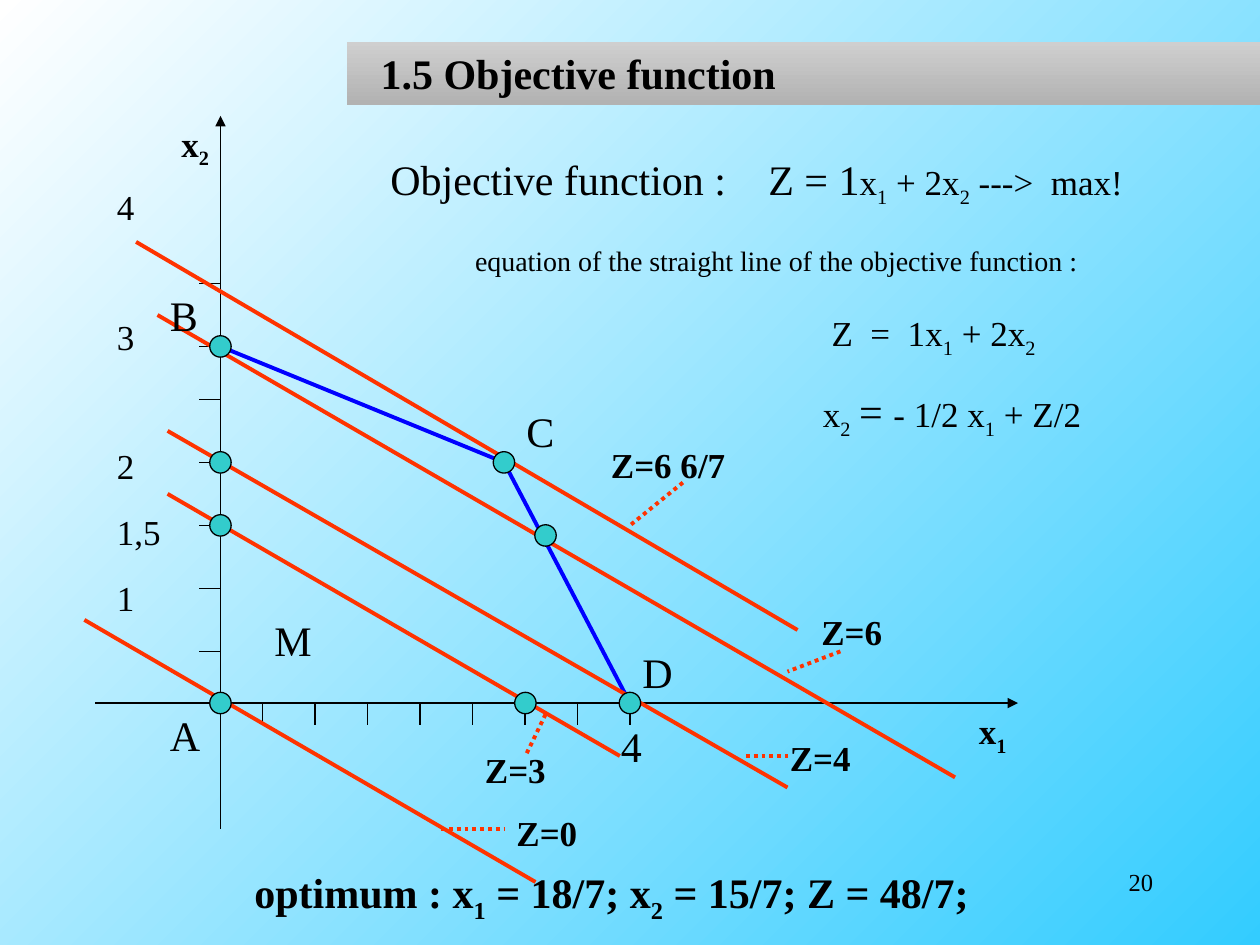
from lxml import etree
from pptx import Presentation
from pptx.dml.color import RGBColor
from pptx.enum.dml import MSO_LINE
from pptx.enum.shapes import MSO_CONNECTOR, MSO_SHAPE
from pptx.enum.text import MSO_ANCHOR, MSO_AUTO_SIZE, PP_ALIGN
from pptx.oxml.ns import qn
from pptx.util import Inches, Pt

STRAIGHT = MSO_CONNECTOR.STRAIGHT
OVAL = MSO_SHAPE.OVAL
DOTTED = MSO_LINE.ROUND_DOT
TOP, MIDDLE = MSO_ANCHOR.TOP, MSO_ANCHOR.MIDDLE
LEFT, RIGHT = PP_ALIGN.LEFT, PP_ALIGN.RIGHT
FIXED_SIZE = MSO_AUTO_SIZE.NONE

BLACK = RGBColor(0x00, 0x00, 0x00)
WHITE = RGBColor(0xFF, 0xFF, 0xFF)
SKY = RGBColor(0x33, 0xCC, 0xFF)
TEAL = RGBColor(0x33, 0xCC, 0xCC)
BLUE = RGBColor(0x00, 0x00, 0xFF)
RED = RGBColor(0xFF, 0x33, 0x00)
LIGHT_GREY = RGBColor(0xCF, 0xCF, 0xCF)
GREY = RGBColor(0xB2, 0xB2, 0xB2)

ORIGIN_X, ORIGIN_Y = 1.75, 5.58
TICK = 0.17
DOT = 0.17


def write(paragraph, text, size=20, bold=False, color=BLACK, font="Times New Roman"):
    """Append text to a paragraph; the character after each "_" is a subscript."""
    first, *rest = text.split("_")
    pieces = [(first, False)]
    for part in rest:
        pieces += [(part[:1], True), (part[1:], False)]
    for piece, subscript in pieces:
        if not piece:
            continue
        run = paragraph.add_run()
        run.text = piece
        run.font.name, run.font.size = font, Pt(size)
        run.font.bold, run.font.color.rgb = bold, color
        if subscript:
            run.font._element.set("baseline", "-25000")


def format_paragraph(paragraph, before=0, indent=0, align=LEFT, tab=None):
    paragraph.alignment = align
    paragraph.space_before = Pt(before)
    properties = paragraph._p.get_or_add_pPr()
    properties.set("marL", str(Inches(indent)))
    properties.set("indent", "0")
    etree.SubElement(properties, qn("a:buNone"))
    if tab is not None:
        tabs = etree.SubElement(properties, qn("a:tabLst"))
        etree.SubElement(tabs, qn("a:tab"), pos=str(Inches(tab)), algn="l")


def fill_gradient(fill, angle, start, end):
    fill.gradient()
    fill.gradient_angle = angle
    for stop, color in zip(fill.gradient_stops, (start, end)):
        stop.color.rgb = color


class SlideBuilder:
    def __init__(self, slide):
        self.slide = slide
        self.shapes = slide.shapes

    def frame(self, shape, box, anchor=TOP, wrap=True):
        shape.left, shape.top, shape.width, shape.height = map(Inches, box)
        frame = shape.text_frame
        frame.auto_size = FIXED_SIZE
        frame.word_wrap = wrap
        frame.vertical_anchor = anchor
        return frame

    def text(self, box, text="", wrap=False, align=LEFT, tab=None, **style):
        shape = self.shapes.add_textbox(0, 0, 0, 0)
        paragraph = self.frame(shape, box, wrap=wrap).paragraphs[0]
        format_paragraph(paragraph, align=align, tab=tab)
        write(paragraph, text, **style)
        return shape.text_frame

    def line(self, start, end, color=BLACK, width=0.75, dash=None, arrow=False):
        connector = self.shapes.add_connector(STRAIGHT, *map(Inches, (*start, *end)))
        connector.line.color.rgb = color
        connector.line.width = Pt(width)
        if dash is not None:
            connector.line.dash_style = dash
        if arrow:
            etree.SubElement(connector.line._get_or_add_ln(), qn("a:tailEnd"), type="triangle")
        etree.SubElement(connector._element.spPr, qn("a:effectLst"))

    def dot(self, x, y):
        corner = (Inches(x - DOT / 2), Inches(y - DOT / 2))
        dot = self.shapes.add_shape(OVAL, *corner, Inches(DOT), Inches(DOT))
        dot.shadow.inherit = False
        dot.fill.solid()
        dot.fill.fore_color.rgb = TEAL
        dot.line.color.rgb = BLACK
        dot.line.width = Pt(0.75)


def add_headings(builder):
    # Title bar
    title = builder.shapes.title
    frame = builder.frame(title, (2.75, 0.33, 7.25, 0.5), anchor=MIDDLE)
    frame.margin_left = Inches(0.27)
    fill_gradient(title.fill, 270, LIGHT_GREY, GREY)
    format_paragraph(frame.paragraphs[0])
    write(frame.paragraphs[0], "1.5 Objective function", size=24, bold=True)

    # Derivation of the straight line
    derivation = builder.frame(builder.slide.placeholders[1], (3.67, 1.88, 6.33, 1.59))
    statement = derivation.paragraphs[0]
    format_paragraph(statement)
    write(statement, "equation of the straight line of the objective function :", size=16)
    equation = derivation.add_paragraph()
    format_paragraph(equation, before=20, indent=2.83)
    write(equation, "Z  =  1x_1 + 2x_2")
    solved = derivation.add_paragraph()
    format_paragraph(solved, before=15, indent=2.76)
    write(solved, "x_2 ")
    write(solved, "= ", size=24)
    write(solved, "- 1/2 x_1 + Z/2")

    # Objective function and optimum
    objective = builder.text((3, 1.17, 6.42, 0.54), "Objective function :\tZ = 1",
                             wrap=True, tab=3, size=24)
    write(objective.paragraphs[0], "x_1 + 2x_2 --->  max!")
    builder.text((1.92, 6.83, 6.92, 0.56), "optimum : x_1 = 18/7; x_2 = 15/7; Z = 48/7;",
                 wrap=True, size=24, bold=True)
    builder.text((7.17, 6.83, 2.08, 0.5), "20", align=RIGHT, size=14)


def add_axes(builder):
    origin = (ORIGIN_X, ORIGIN_Y)
    builder.line(origin, (ORIGIN_X, 0.92), arrow=True)
    builder.line(origin, (8.08, ORIGIN_Y), arrow=True)
    builder.line(origin, (0.75, ORIGIN_Y))
    builder.line(origin, (ORIGIN_X, 6.58))
    for y in (5.17, 4.67, 4.17, 3.67, 3.17, 2.75, 2.25):
        builder.line((ORIGIN_X - TICK, y), (ORIGIN_X, y))
    for step in range(8):
        x = 5 - step * 5 / 12
        builder.line((x, ORIGIN_Y), (x, ORIGIN_Y + TICK))

    # Axis names and values
    builder.text((7.67, 5.58, 0.42, 0.48), "x_1", bold=True)
    builder.text((1.34, 0.92, 0.42, 0.48), "x_2", bold=True)
    builder.text((4.83, 5.67, 0.42, 0.5), "4", size=24)
    scale = builder.text((0.83, 1.42, 0.67, 3.48), "4")
    for value, before in (("3", 50.2), ("2", 50.2), ("1,5", 13.6), ("1", 13.6)):
        paragraph = scale.add_paragraph()
        format_paragraph(paragraph, before=before)
        write(paragraph, value)


def add_plot(builder):
    # Edges of the feasible region
    corner_b, corner_c, corner_d = (ORIGIN_X, 2.75), (4, 3.67), (5, ORIGIN_Y)
    builder.line(corner_b, corner_c, BLUE, 2.25)
    builder.line(corner_c, corner_d, BLUE, 2.25)

    # Objective lines: ends, label with its place and width, dotted leader
    for start, end, label, place, width, leader in (
        ((1.33, 3.92), (4.92, 6), "Z=3", (3.75, 5.89), 0.68, ((4.33, 5.67), (4.17, 6))),
        ((1.33, 3.42), (6.25, 6.25), "Z=4", (6.17, 5.8), 0.68, ((5.92, 6), (6.25, 6))),
        ((0.67, 4.92), (4.25, 7), "Z=0", (4, 6.39), 0.68, ((3.5, 6.58), (4, 6.58))),
        ((1.25, 2.5), (7.58, 6.17), "Z=6", (6.42, 4.8), 0.68, ((6.67, 5.17), (6.25, 5.33))),
        ((1.08, 1.92), (6.33, 5), "Z=6 6/7", (4.75, 3.47), 1.11, ((5.42, 3.83), (5, 4.17))),
    ):
        builder.line(start, end, RED, 2.25)
        builder.text((*place, width, 0.44), label, bold=True)
        builder.line(*leader, RED, 2.25, dash=DOTTED)

    # Names of the corners and of the region
    for name, x, y, width in (("A", 1.25, 5.58, 0.44), ("B", 1.25, 2.25, 0.5),
                              ("C", 4.08, 3.17, 0.58), ("D", 5, 5.08, 0.44),
                              ("M", 2.08, 4.83, 0.67)):
        builder.text((x, y, width, 0.5), name, size=24)

    # Intersection points
    for point in ((ORIGIN_X, ORIGIN_Y), (ORIGIN_X, 4.17), (ORIGIN_X, 3.67), corner_b,
                  corner_c, corner_d, (4.33, 4.25), (4.17, ORIGIN_Y)):
        builder.dot(*point)


def main():
    presentation = Presentation()
    presentation.slide_width, presentation.slide_height = Inches(10), Inches(7.5)
    slide = presentation.slides.add_slide(presentation.slide_layouts[1])
    fill_gradient(slide.background.fill, 135, SKY, WHITE)
    builder = SlideBuilder(slide)
    add_headings(builder)
    add_axes(builder)
    add_plot(builder)
    presentation.save("out.pptx")


if __name__ == "__main__":
    main()
